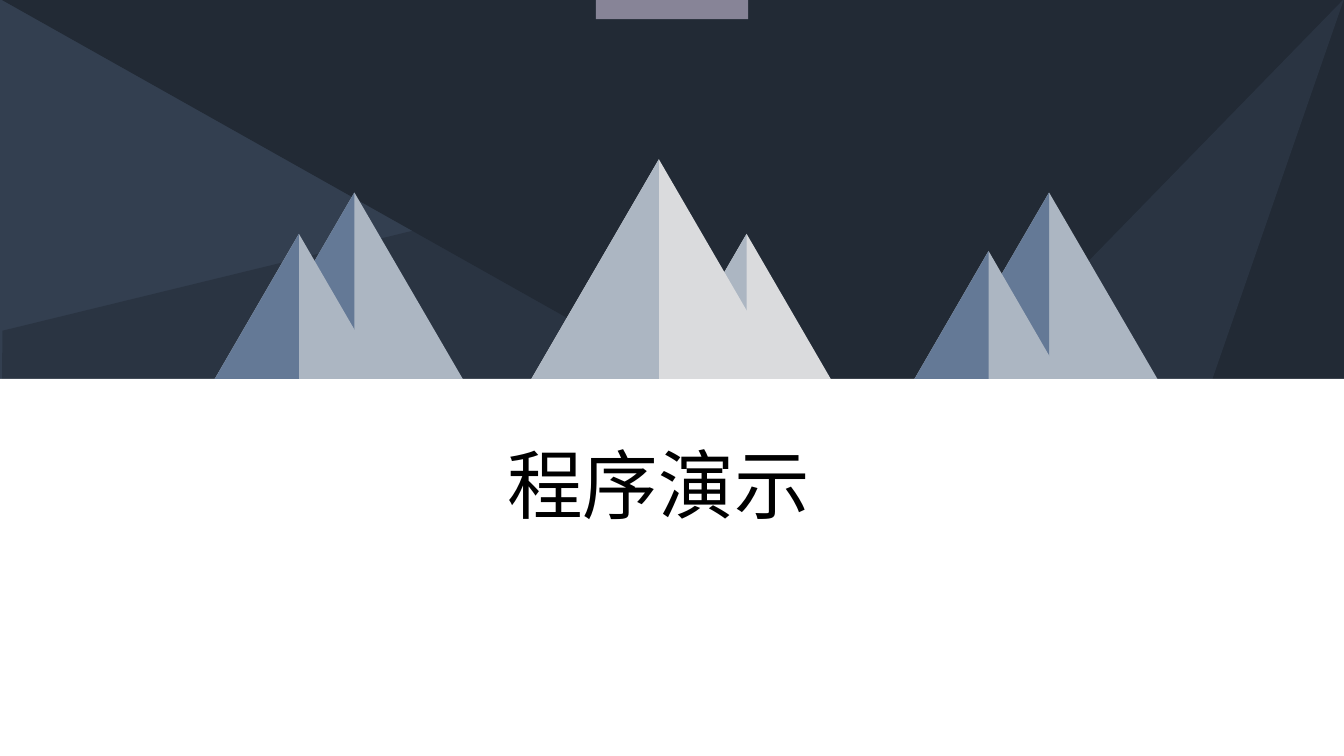
from dataclasses import dataclass

from lxml.etree import SubElement
from pptx import Presentation
from pptx.dml.color import RGBColor
from pptx.enum.shapes import MSO_SHAPE
from pptx.enum.text import MSO_ANCHOR, MSO_AUTO_SIZE, PP_ALIGN
from pptx.oxml.ns import qn
from pptx.util import Inches, Pt


@dataclass(frozen=True)
class Theme:
    font: str = "Noto Sans CJK SC"
    title_size: int = 54
    text: str = "000000"
    panel: str = "FFFFFF"
    sky: str = "333F50"
    night: str = "222A35"
    tab: str = "878497"
    snow: str = "DADBDD"
    mist: str = "ACB6C2"
    slate: str = "647996"


HORIZON = 3.76


class SlideBuilder:
    def __init__(self, slide, theme):
        self.slide = slide
        self.theme = theme

    def background(self, color):
        fill = self.slide.background.fill
        fill.solid()
        fill.fore_color.rgb = RGBColor.from_string(color)

    def paint(self, shape, color, opacity=100):
        shape.shadow.inherit = False
        shape.fill.solid()
        shape.fill.fore_color.rgb = RGBColor.from_string(color)
        shape.line.fill.background()
        if opacity < 100:
            color_element = shape._element.spPr.find(qn("a:solidFill"))[0]
            SubElement(color_element, qn("a:alpha"), val=str(opacity * 1000))

    def block(self, kind, box, color, rotation=0, apex=None, opacity=100, parent=None):
        """Add a filled preset shape; apex is the triangle's adjustment."""
        shapes = (parent or self.slide).shapes
        shape = shapes.add_shape(kind, *map(Inches, box))
        shape.rotation = rotation
        if apex is not None:
            shape.adjustments[0] = apex
        self.paint(shape, color, opacity)

    def mountain(self, left, width, top, light, shade):
        """Add a peak standing on the horizon, with its left half shaded."""
        group = self.slide.shapes.add_group_shape()
        self.block(MSO_SHAPE.ISOSCELES_TRIANGLE,
                   (left, top, width, HORIZON - top), light, parent=group)
        middle = left + width / 2
        outline = group.shapes.build_freeform(Inches(middle), Inches(top))
        outline.add_line_segments([(Inches(middle), Inches(HORIZON)),
                                   (Inches(left), Inches(HORIZON))])
        self.paint(outline.convert_to_shape(), shade)

    def title(self, text, box):
        title = self.slide.shapes.title
        title.left, title.top, title.width, title.height = map(Inches, box)
        # Bring the title in front of the backdrop
        self.slide.shapes._spTree.append(title._element)
        frame = title.text_frame
        frame.text = text
        frame.word_wrap = False
        frame.auto_size = MSO_AUTO_SIZE.SHAPE_TO_FIT_TEXT
        frame.vertical_anchor = MSO_ANCHOR.TOP
        # Side margins would force the last character onto a second line
        frame.margin_left = frame.margin_right = 0
        paragraph = frame.paragraphs[0]
        paragraph.alignment = PP_ALIGN.CENTER
        paragraph.line_spacing = 1.0
        paragraph.space_before = Pt(0)
        paragraph.font.size = Pt(self.theme.title_size)
        paragraph.font.name = self.theme.font
        paragraph.font.color.rgb = RGBColor.from_string(self.theme.text)
        defaults = paragraph._p.pPr.find(qn("a:defRPr"))
        SubElement(defaults, qn("a:ea"), typeface=self.theme.font)


def main():
    theme = Theme()
    presentation = Presentation()
    presentation.slide_width = Inches(13.33)
    presentation.slide_height = Inches(7.5)
    slide = presentation.slides.add_slide(presentation.slide_layouts[5])
    builder = SlideBuilder(slide, theme)

    builder.background(theme.sky)
    builder.block(MSO_SHAPE.ISOSCELES_TRIANGLE, (0.02, 0, 13.33, 7.5),
                  theme.night, rotation=180, apex=0)
    builder.block(MSO_SHAPE.PARALLELOGRAM, (-0.62, 1.73, 14.44, 3.52),
                  theme.night, rotation=166.3, opacity=50)
    builder.block(MSO_SHAPE.ISOSCELES_TRIANGLE, (8.47, -0.83, 3.68, 7.84),
                  theme.sky, rotation=19.1, apex=1, opacity=50)
    builder.block(MSO_SHAPE.RECTANGLE, (0, HORIZON, 13.36, 3.74), theme.panel)

    builder.title("程序演示", (4.93, 4.29, 3.2, 1.01))
    builder.block(MSO_SHAPE.RECTANGLE, (5.91, 0, 1.51, 0.19), theme.tab)

    outer = (theme.mist, theme.slate)
    central = (theme.snow, theme.mist)
    mountains = [
        (2.44, 2.15, 1.91, outer),
        (2.13, 1.67, 2.32, outer),
        (9.33, 2.15, 1.91, outer),
        (9.07, 1.47, 2.49, outer),
        (6.57, 1.67, 2.32, central),
        (5.27, 2.53, 1.58, central),
    ]
    for left, width, top, colors in mountains:
        builder.mountain(left, width, top, *colors)

    presentation.save("out.pptx")


if __name__ == "__main__":
    main()
